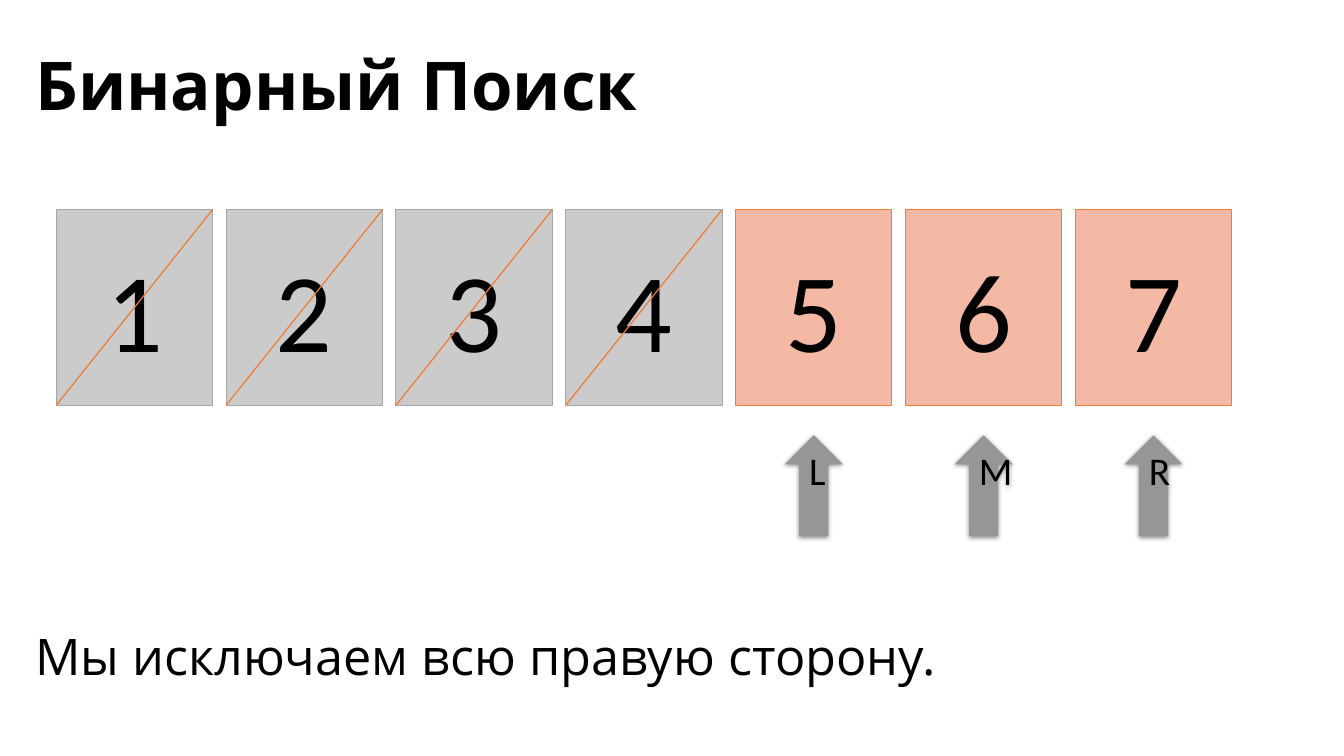
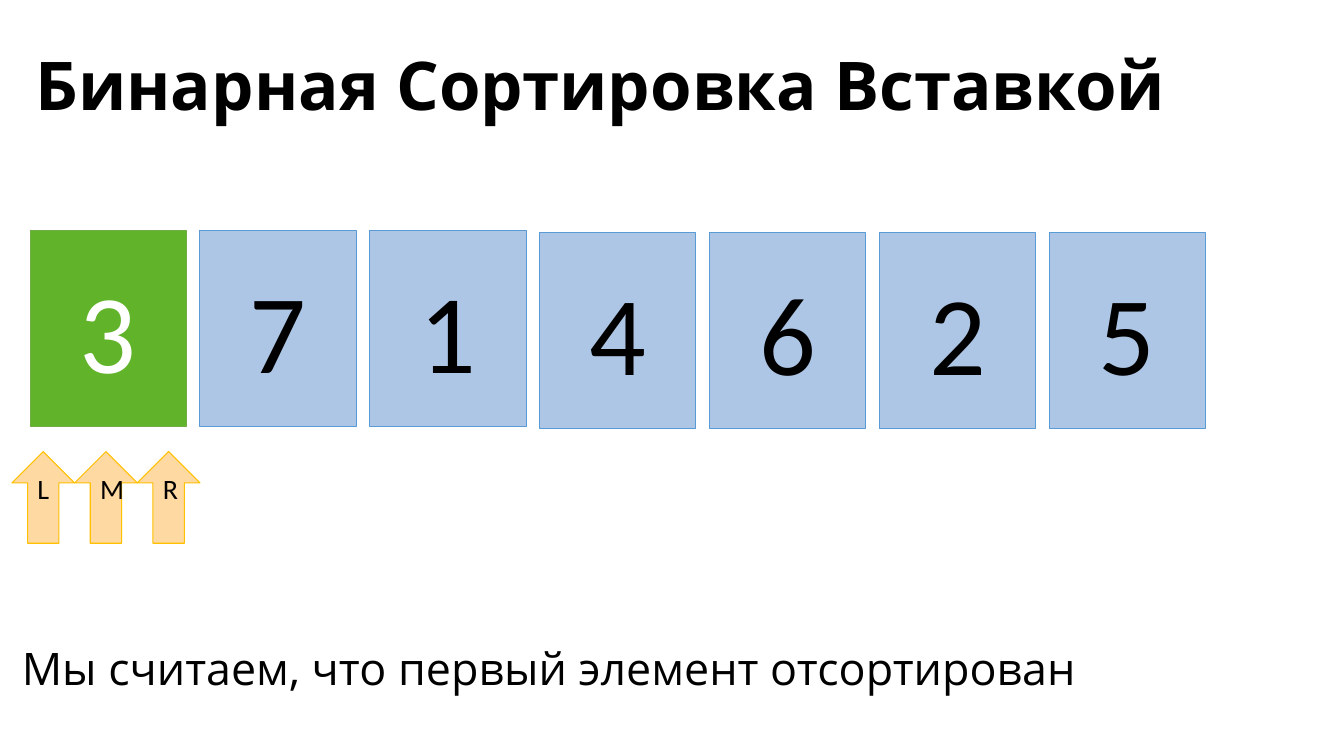
from lxml import etree
from pptx import Presentation
from pptx.dml.color import RGBColor
from pptx.enum.shapes import MSO_CONNECTOR, MSO_SHAPE
from pptx.enum.text import MSO_ANCHOR, MSO_AUTO_SIZE, PP_ALIGN
from pptx.oxml.ns import qn
from pptx.util import Cm, Pt

RECTANGLE, UP_ARROW = MSO_SHAPE.RECTANGLE, MSO_SHAPE.UP_ARROW
STRAIGHT = MSO_CONNECTOR.STRAIGHT
MIDDLE, BOTTOM = MSO_ANCHOR.MIDDLE, MSO_ANCHOR.BOTTOM
FIT_TEXT = MSO_AUTO_SIZE.SHAPE_TO_FIT_TEXT
LEFT, CENTER = PP_ALIGN.LEFT, PP_ALIGN.CENTER

COLORS = {
    "text": "000000", "white": "FFFFFF", "shadow": "000000",
    "excluded": "CBCBCB", "excluded_edge": "A5A5A5",
    "active": "F3B9A4", "active_edge": "ED7D31",
    "sorted": "61B429", "sorted_edge": "70AD47",
    "unsorted": "ADC6E5", "unsorted_edge": "5B9BD5",
    "pointer": "969696",
    "marker": "FFD9A2", "marker_edge": "FFC000",
}
HEADING_FONT, CARD_FONT = "Open Sans", "Calibri"

# Card grid, in cm
CARD_W, CARD_H, CARD_STEP = 3.94, 4.93, 4.28
POINTERS = "LMR"


def color(name):
    return RGBColor.from_string(COLORS[name])


def write(frame, text, size, font, ink="text", bold=False, align=LEFT):
    paragraph = frame.paragraphs[0]
    paragraph.text = text
    paragraph.alignment = align
    paragraph.font.name = font
    paragraph.font.size = Pt(size)
    paragraph.font.bold = bold
    paragraph.font.color.rgb = color(ink)
    return paragraph


def add_title(slide, text):
    frame = slide.shapes.add_textbox(Cm(0.64), Cm(0.74), Cm(32.5), Cm(2.54)).text_frame
    frame.word_wrap = True
    frame.vertical_anchor = BOTTOM
    write(frame, text, 48, HEADING_FONT, bold=True).line_spacing = 0.9


def add_caption(slide, text, left, top, width, height, size):
    frame = slide.shapes.add_textbox(Cm(left), Cm(top), Cm(width), Cm(height)).text_frame
    frame.word_wrap = False
    frame.auto_size = FIT_TEXT
    write(frame, text, size, HEADING_FONT)


def add_block(slide, kind, text, box, size, fill, edge=None, ink="text"):
    """Filled shape with a centred label; box is left, top, width, height in cm."""
    block = slide.shapes.add_shape(kind, *map(Cm, box))
    block.shadow.inherit = False
    block.fill.solid()
    block.fill.fore_color.rgb = color(fill)
    if edge:
        block.line.color.rgb = color(edge)
        block.line.width = Pt(0.75)
    else:
        block.line.fill.background()
    block.text_frame.vertical_anchor = MIDDLE
    write(block.text_frame, text, size, CARD_FONT, ink, align=CENTER)
    return block


def card_lefts(left, first, count):
    return [left + CARD_STEP * i for i in range(first, first + count)]


def add_cards(slide, numbers, left, top, state, first=0, ink="text"):
    for x, number in zip(card_lefts(left, first, len(numbers)), numbers):
        add_block(slide, RECTANGLE, number, (x, top, CARD_W, CARD_H), 80,
                  state, f"{state}_edge", ink)


def add_arrow(slide, letter, box, size, fill, edge=None):
    return add_block(slide, UP_ARROW, f"{letter} ", box, size, fill, edge)


def add_soft_shadow(shape):
    effects = shape._element.spPr.find(qn("a:effectLst"))
    shadow = etree.SubElement(effects, qn("a:outerShdw"), blurRad=str(Pt(3.5)),
                              dist=str(Pt(1.1)), dir="5400000", rotWithShape="0")
    tint = etree.SubElement(shadow, qn("a:srgbClr"), val=COLORS["shadow"])
    etree.SubElement(tint, qn("a:alpha"), val="45000")


def add_strike(slide, left, top):
    strike = slide.shapes.add_connector(STRAIGHT, Cm(left + CARD_W), Cm(top),
                                        Cm(left), Cm(top + CARD_H))
    strike.line.color.rgb = color("active_edge")
    strike.line.width = Pt(0.85)
    etree.SubElement(strike._element.spPr, qn("a:effectLst"))


def build_search(slide):
    left, top = 1.42, 5.28
    excluded, active = "1234", "567"
    add_title(slide, "Бинарный Поиск")

    # Array halves
    add_cards(slide, excluded, left, top, "excluded")
    add_cards(slide, active, left, top, "active", first=len(excluded))

    # Pointers centred under the active half
    arrow_w = 1.47
    for x, letter in zip(card_lefts(left, len(excluded), len(active)), POINTERS):
        box = (x + (CARD_W - arrow_w) / 2, 10.97, arrow_w, 2.54)
        add_soft_shadow(add_arrow(slide, letter, box, 28, "pointer"))

    add_caption(slide, "Мы исключаем всю правую сторону.", 0.64, 15.62, 23.52, 1.8, 36)

    # Excluded cards crossed out
    for x in card_lefts(left, 0, len(excluded)):
        add_strike(slide, x, top)


def build_sort(slide):
    left, top = 0.76, 5.82
    add_title(slide, "Бинарная Сортировка Вставкой")

    # Sorted part, then the rest
    add_cards(slide, "3", left, top, "sorted", ink="white")
    add_cards(slide, "71", left, top, "unsorted", first=1)
    add_cards(slide, "4625", left, top + 0.05, "unsorted", first=3)

    # Pointers side by side under the first card
    arrow_w = 1.58
    for i, letter in enumerate(POINTERS):
        box = (0.3 + arrow_w * i, 11.38, arrow_w, 2.31)
        add_arrow(slide, letter, box, 20, "marker", "marker_edge")

    add_caption(slide, "Мы считаем, что первый элемент отсортирован",
                0.3, 16.03, 27.41, 1.63, 32)


def main():
    deck = Presentation()
    deck.slide_width, deck.slide_height = Cm(33.87), Cm(19.05)
    blank = deck.slide_layouts[6]
    for build in (build_search, build_sort):
        build(deck.slides.add_slide(blank))
    deck.save("out.pptx")


if __name__ == "__main__":
    main()
